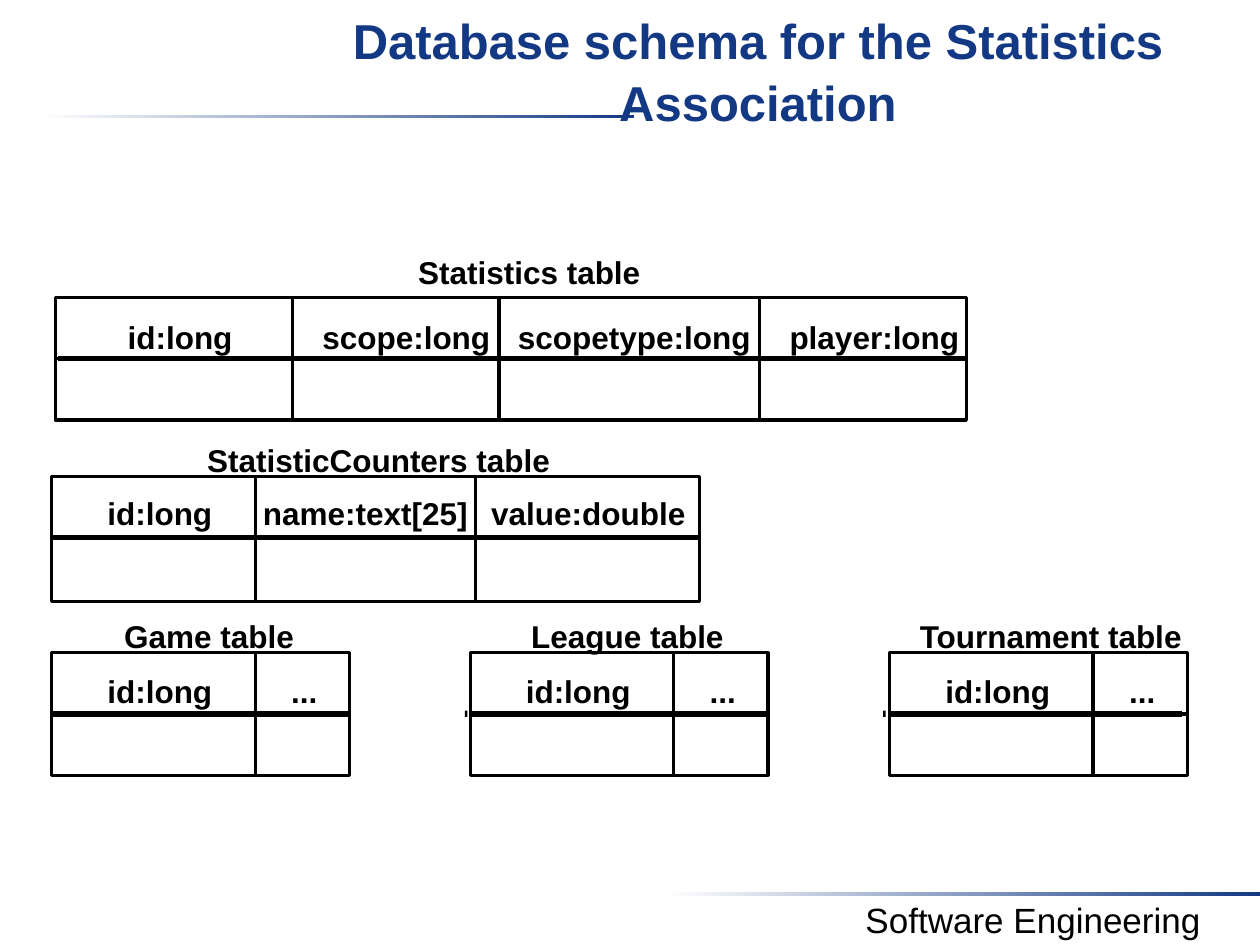
import pptx
import pptx.dml.color
import pptx.enum.shapes
import pptx.enum.text
import pptx.oxml
import pptx.oxml.ns
import pptx.util

Pt = pptx.util.Pt
RECTANGLE = pptx.enum.shapes.MSO_SHAPE.RECTANGLE
COLORS = {name: pptx.dml.color.RGBColor.from_string(value) for name, value in
          {"navy": "133984", "black": "000000", "white": "FFFFFF"}.items()}


def format_text(frame, text, size=18, color="black", bold=True, margins=(0, 0, 0, 0),
                wrap=False, spacing=1.0):
    frame.text = text
    frame.word_wrap = wrap
    frame.auto_size = pptx.enum.text.MSO_AUTO_SIZE.NONE
    frame.vertical_anchor = pptx.enum.text.MSO_ANCHOR.TOP
    frame.margin_left, frame.margin_top, frame.margin_right, frame.margin_bottom = map(Pt, margins)
    paragraph = frame.paragraphs[0]
    paragraph.alignment = pptx.enum.text.PP_ALIGN.CENTER
    paragraph.line_spacing = spacing
    font = paragraph.runs[0].font
    font.name = "Arial"
    font.size = Pt(size)
    font.bold = bold
    font.color.rgb = COLORS[color]


def add_rectangle(left, top, width, height):
    shape = slide.shapes.add_shape(RECTANGLE, Pt(left), Pt(top), Pt(width), Pt(height))
    shape.shadow.inherit = False
    return shape


presentation = pptx.Presentation()
presentation.slide_width = Pt(720)
presentation.slide_height = Pt(540)
slide = presentation.slides.add_slide(presentation.slide_layouts[5])

for left, top in [(22.3, 65.5), (380.2, 509.8)]:
    rule = add_rectangle(left, top, 339.8, 2.2)
    rule.line.fill.background()
    rule.fill.gradient()
    rule.fill.gradient_angle = 0
    for stop, color, position in zip(rule.fill.gradient_stops, ("white", "navy"), (0, 1)):
        stop.color.rgb = COLORS[color]
        stop.position = position

footer = slide.shapes.add_textbox(Pt(460.8), Pt(509.8), Pt(259.2), Pt(31.7))
format_text(footer.text_frame, "Software Engineering", size=20, bold=False,
            margins=(7.2, 3.6, 7.2, 3.6), wrap=True)

title = slide.shapes.title
title.left, title.top, title.width, title.height = Pt(146.2), Pt(0), Pt(573.8), Pt(54)
format_text(title.text_frame, "Database schema for the Statistics Association", size=28,
            color="navy", margins=(7.2, 4.3, 7.2, 3.6), wrap=True, spacing=1.05)
slide.shapes._spTree.append(title._element)

HEADER_HEIGHT = 35
KEY_COLUMNS = [("id:long", 116.3, 61.9, 60.5), ("...", 54, 144.4, 15.1)]
schemas = [
    {"caption": ("Statistics table", 302.4, 144.7, 128.2), "left": 31.7, "top": 170,
     "body_height": 35, "text_offset": 11.5, "rule": (1.4, 520.6),
     "columns": [("id:long", 135.4, 71.3, 60.5), ("scope:long", 118.1, 200.5, 97.2),
                 ("scopetype:long", 149, 330.8, 134.6), ("player:long", 118.1, 468, 97.9)]},
    {"caption": ("StatisticCounters table", 216.4, 252, 198), "left": 29.5, "top": 272.2,
     "body_height": 36.5, "text_offset": 10, "rule": (0, 370.8),
     "columns": [("id:long", 116.3, 61.9, 60.5), ("name:text[25]", 126, 179.3, 118.1),
                 ("value:double", 127.8, 306.7, 112.3)]},
]
for name, left, centre, width, rule_end in [
        ("Game", 29.5, 119.5, 97.9, 170.6), ("League", 268.6, 358.6, 110.9, 170.6),
        ("Tournament", 508.3, 600.5, 149, 167)]:
    schemas.append({"caption": (f"{name} table", centre, 352.8, width), "left": left,
                    "top": 373, "body_height": 35, "text_offset": 10.8,
                    "rule": (0, rule_end), "columns": KEY_COLUMNS})

for schema in schemas:
    left, top = schema["left"], schema["top"]
    labels = [schema["caption"]]
    cell_left = left
    for name, width, centre, text_width in schema["columns"]:
        for cell_top, height in [(top, HEADER_HEIGHT), (top + HEADER_HEIGHT, schema["body_height"])]:
            cell = add_rectangle(cell_left, cell_top, width, height)
            cell.fill.background()
            cell.line.color.rgb = COLORS["black"]
            cell.line.width = Pt(1.75)
        labels.append((name, left + centre, top + schema["text_offset"], text_width))
        cell_left += width
    for text, centre, text_top, width in labels:
        label = slide.shapes.add_textbox(Pt(centre - width / 2), Pt(text_top), Pt(width), Pt(21.6))
        format_text(label.text_frame, text)

    start, end = schema["rule"]
    rule_top = Pt(top + HEADER_HEIGHT)
    header_rule = slide.shapes.add_connector(
        pptx.enum.shapes.MSO_CONNECTOR.STRAIGHT,
        Pt(left + start), rule_top, Pt(left + end), rule_top)
    header_rule.line.color.rgb = COLORS["black"]
    header_rule.line.width = Pt(3)
    header_rule._element.spPr.append(pptx.oxml.parse_xml(
        f'<a:effectLst {pptx.oxml.ns.nsdecls("a")}/>'))

for left in (265.7, 504.7):
    tick = add_rectangle(left, 406.1, 1.4, 3.6)
    tick.fill.solid()
    tick.fill.fore_color.rgb = COLORS["black"]
    tick.line.fill.background()

presentation.save("out.pptx")
